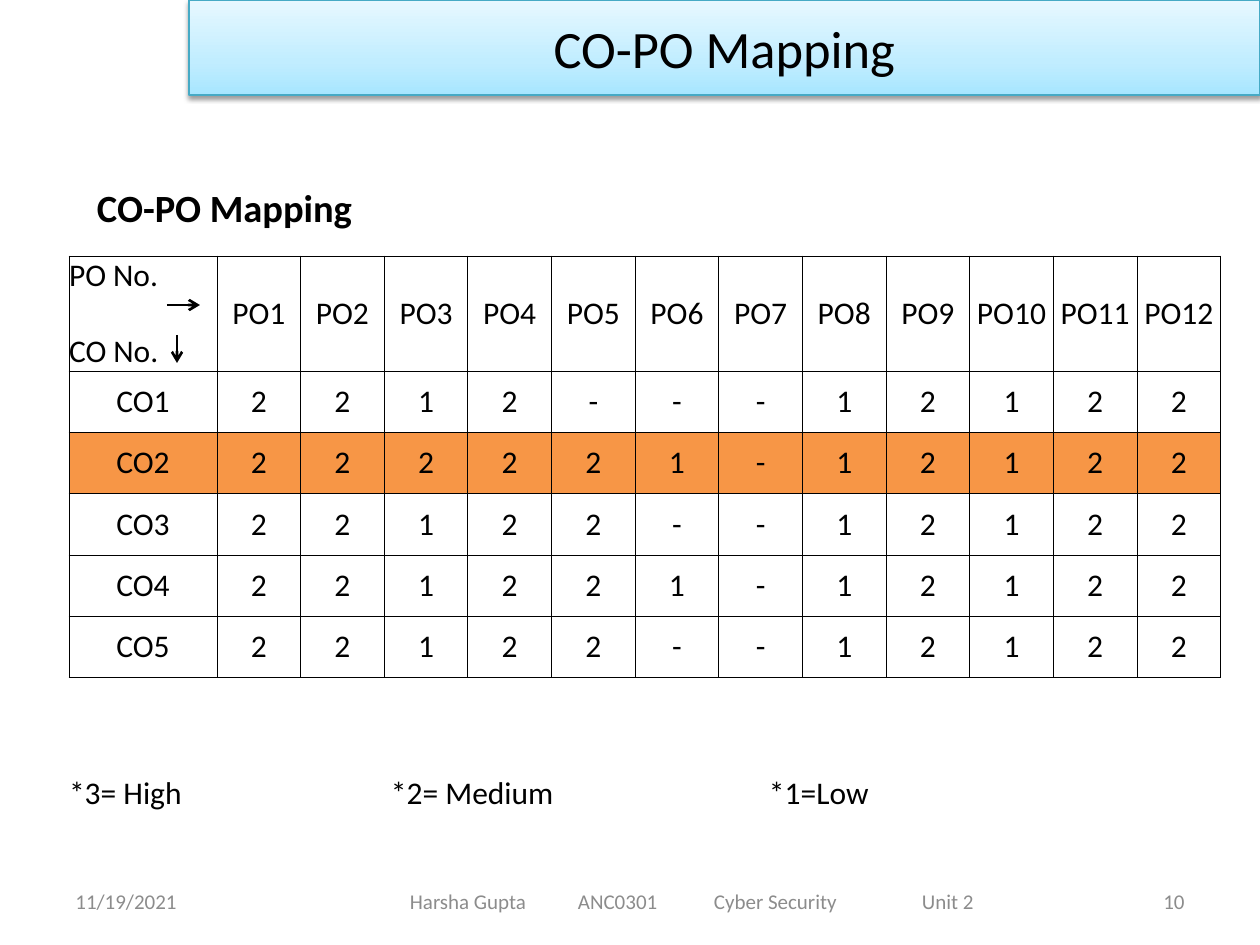
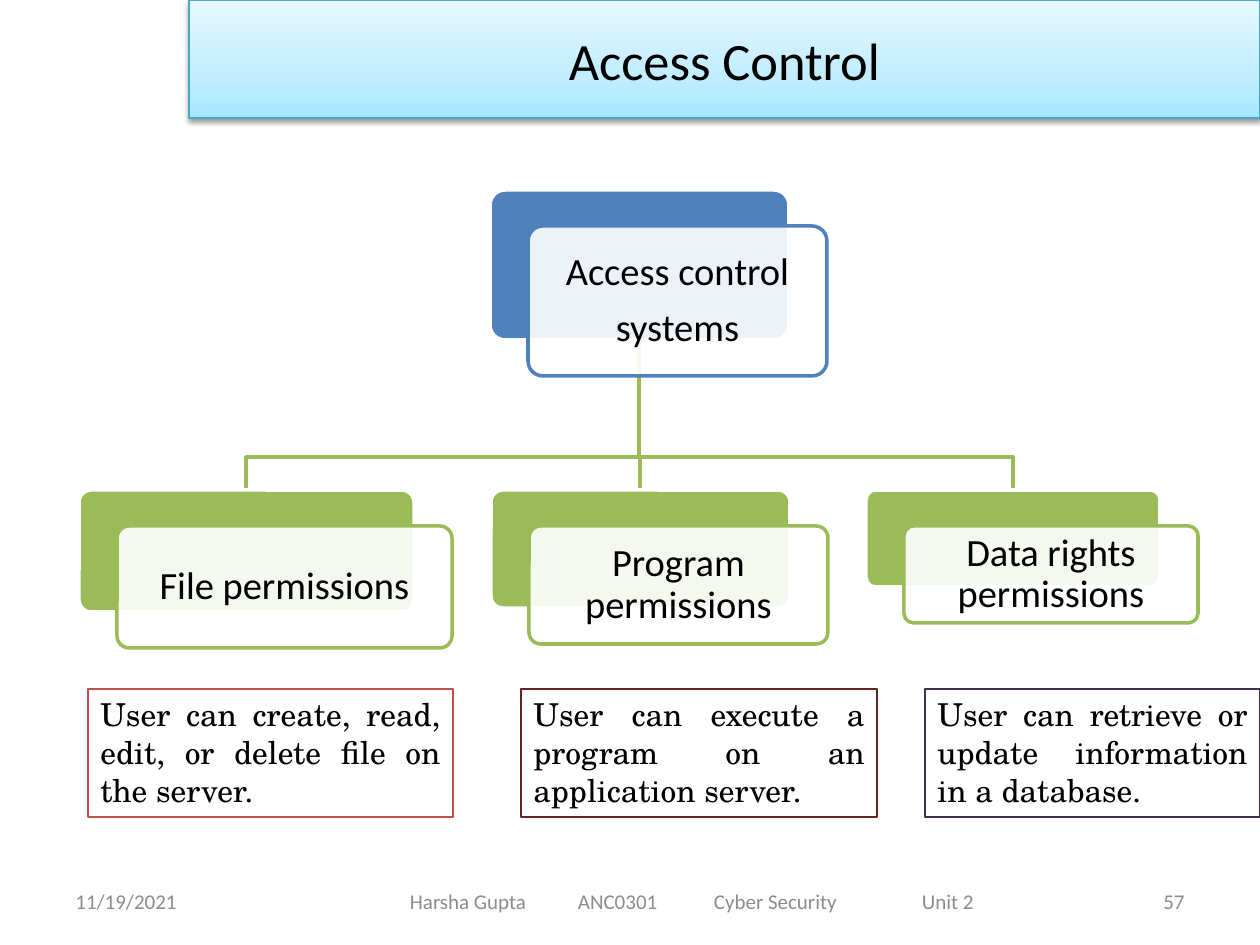
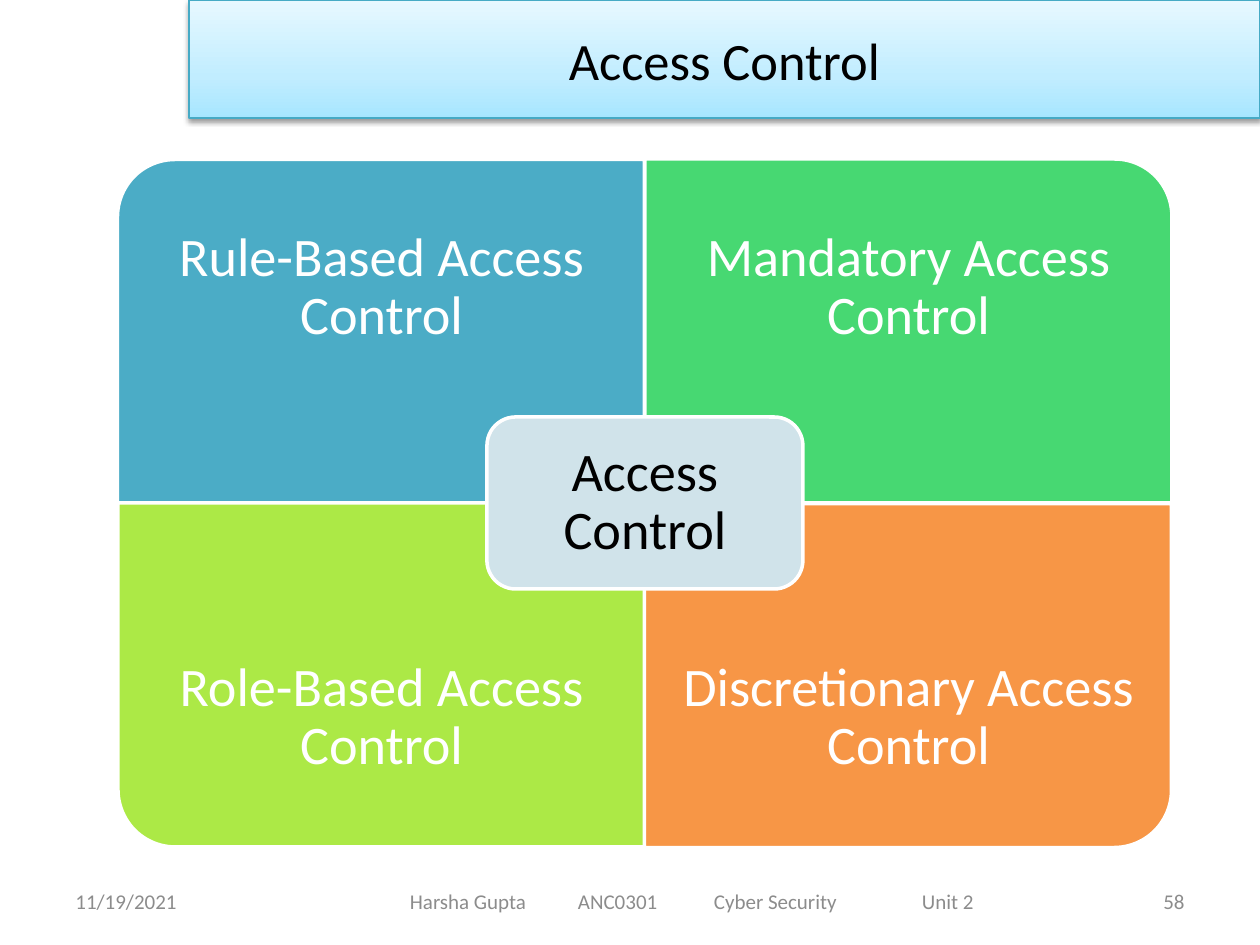
from lxml.etree import SubElement
from pptx import Presentation
from pptx.dml.color import RGBColor
from pptx.enum.shapes import MSO_CONNECTOR, MSO_SHAPE as SHAPE
from pptx.enum.text import MSO_ANCHOR as ANCHOR, PP_ALIGN as ALIGN
from pptx.oxml.ns import qn
from pptx.util import Emu, Pt

SCALE = 914400 / 126
SANS = "Calibri"
SERIF = "TeX Gyre Schola"
BLACK = RGBColor(0x00, 0x00, 0x00)
WHITE = RGBColor(0xFF, 0xFF, 0xFF)
GREY = RGBColor(0x8C, 0x8C, 0x8C)
BLUE = RGBColor(0x4F, 0x81, 0xBD)
OLIVE = RGBColor(0x9B, 0xBB, 0x59)
ORANGE = RGBColor(0xF7, 0x96, 0x46)
TEAL = RGBColor(0x4B, 0xAC, 0xC6)
GREEN = RGBColor(0x47, 0xD8, 0x72)
LIME = RGBColor(0xAC, 0xE9, 0x46)
PALE_BLUE = RGBColor(0xD0, 0xE3, 0xEA)
RED = RGBColor(0xC0, 0x50, 0x4D)
MAROON = RGBColor(0x63, 0x25, 0x23)
PURPLE = RGBColor(0x40, 0x31, 0x52)
BAND_LINE = RGBColor(0x46, 0xAA, 0xC5)
BAND_STOPS = (
    (0, RGBColor(0xA7, 0xE6, 0xFF)),
    (35, RGBColor(0xC1, 0xED, 0xFF)),
    (100, RGBColor(0xE7, 0xF8, 0xFF)),
)
DATE = "11/19/2021"
FOOTER = "Harsha Gupta\tANC0301\tCyber Security\tUnit 2"
MAPPING = {
    "CO1": "2212---12122",
    "CO2": "222221-12122",
    "CO3": "22122--12122",
    "CO4": "221221-12122",
    "CO5": "22122--12122",
}


def px(length):
    """Turn pixels into EMU."""
    return Emu(round(length * SCALE))


def write(frame, text, size, color=BLACK, align=ALIGN.LEFT, font=SANS, bold=False):
    """Fill a text frame and format all its runs alike."""
    frame.text = text
    for para in frame.paragraphs:
        para.alignment = align
        for span in para.runs:
            span.font.name = font
            span.font.size = Pt(size)
            span.font.bold = bold
            span.font.color.rgb = color


def set_frame(frame, anchor=ANCHOR.MIDDLE, inset=None, left=None):
    """Set wrapping, anchoring and insets of a text frame."""
    frame.word_wrap = True
    frame.vertical_anchor = anchor
    if inset is not None:
        frame.margin_left = frame.margin_right = px(inset)
        frame.margin_top = frame.margin_bottom = px(inset)
    if left is not None:
        frame.margin_left = px(left)


def tighten(frame):
    """Apply the diagram paragraph spacing."""
    for para in frame.paragraphs:
        para.line_spacing = 0.9
        para.space_after = Pt(8)


def add_text(slide, area, text, size, color=BLACK, align=ALIGN.LEFT, bold=False, **frame_options):
    """Add a text box and return its frame."""
    frame = slide.shapes.add_textbox(*map(px, area)).text_frame
    set_frame(frame, **frame_options)
    write(frame, text, size, color, align, bold=bold)
    return frame


def add_tabs(frame, stops):
    """Add left tab stops to the first paragraph."""
    tabs = SubElement(frame.paragraphs[0]._p.get_or_add_pPr(), qn("a:tabLst"))
    for stop in stops:
        SubElement(tabs, qn("a:tab"), pos=str(px(stop)), algn="l")


def add_box(slide, kind, area, fill=None, line=WHITE, width=2.0):
    """Add a flat preset shape."""
    box = slide.shapes.add_shape(kind, *map(px, area))
    box.shadow.inherit = False
    if fill is None:
        box.fill.background()
    else:
        box.fill.solid()
        box.fill.fore_color.rgb = fill
    box.line.color.rgb = line
    box.line.width = Pt(width)
    return box


def add_title_band(slide, title, height):
    """Add the gradient title band with its soft shadow."""
    band = add_box(slide, SHAPE.RECTANGLE, (189, 0, 1071, height), line=BAND_LINE, width=0.75)
    band.fill.gradient()
    band.fill.gradient_angle = 90
    properties = band.element.spPr
    stops = properties.find(".//" + qn("a:gsLst"))
    stops.clear()
    for position, color in BAND_STOPS:
        stop = SubElement(stops, qn("a:gs"), pos=str(position * 1000))
        SubElement(stop, qn("a:srgbClr"), val=str(color))
    shadow = SubElement(
        properties.find(qn("a:effectLst")), qn("a:outerShdw"),
        blurRad=str(Pt(3.1)), dist=str(Pt(1.6)), dir="5400000", rotWithShape="0",
    )
    shade = SubElement(shadow, qn("a:srgbClr"), val=str(BLACK))
    SubElement(shade, qn("a:alpha"), val="38000")
    set_frame(band.text_frame)
    write(band.text_frame, title, 30, align=ALIGN.CENTER)


def add_page(deck, title, number, band_height=118):
    """Add a slide with the title band and footers."""
    slide = deck.slides.add_slide(deck.slide_layouts[6])
    add_title_band(slide, title, band_height)
    add_text(slide, (63, 876, 294, 50), DATE, 12, GREY)
    footer = add_text(slide, (346, 876, 693, 50), FOOTER, 12, GREY, left=64)
    add_tabs(footer, (168, 304, 512))
    add_text(slide, (903, 876, 294, 50), str(number), 12, GREY, ALIGN.RIGHT)
    return slide


def add_arrow(slide, start, end):
    """Add a thin black arrow."""
    arrow = slide.shapes.add_connector(MSO_CONNECTOR.STRAIGHT, *map(px, start + end))
    arrow.line.color.rgb = BLACK
    arrow.line.width = Pt(1.5)
    properties = arrow.element.spPr
    SubElement(properties.find(qn("a:ln")), qn("a:tailEnd"), type="arrow")
    SubElement(properties, qn("a:effectLst"))


def border_cell(cell):
    """Draw thin black borders around a cell."""
    properties = cell._tc.get_or_add_tcPr()
    for index, side in enumerate(("lnL", "lnR", "lnT", "lnB")):
        line = SubElement(properties, qn("a:" + side), w=str(Pt(0.5)))
        fill = SubElement(line, qn("a:solidFill"))
        SubElement(fill, qn("a:srgbClr"), val=str(BLACK))
        properties.insert(index, line)


def fill_cell(cell, text, fill, align=ALIGN.CENTER):
    """Write and style one table cell."""
    cell.margin_left = cell.margin_right = cell.margin_top = cell.margin_bottom = 0
    cell.vertical_anchor = ANCHOR.MIDDLE
    cell.fill.solid()
    cell.fill.fore_color.rgb = fill
    border_cell(cell)
    write(cell.text_frame, text, 18, align=align)


def add_mapping_table(slide):
    """Add the table of course outcomes against programme outcomes."""
    rows = [["PO No.\nCO No."] + [f"PO{number}" for number in range(1, 13)]]
    rows += [[outcome, *levels] for outcome, levels in MAPPING.items()]
    area = map(px, (69, 256, 1152, 421))
    table = slide.shapes.add_table(len(rows), len(rows[0]), *area).table
    table.first_row = table.horz_banding = False
    for index, column in enumerate(table.columns):
        column.width = Emu(px(1004) // 12) if index else px(148)
    for index, row in enumerate(table.rows):
        row.height = Emu(px(307) // 5) if index else px(115)
    for row, texts in zip(table.rows, rows):
        fill = ORANGE if texts[0] == "CO2" else WHITE
        for cell, text in zip(row.cells, texts):
            fill_cell(cell, text, fill)
    corner = table.cell(0, 0).text_frame
    for para in corner.paragraphs:
        para.alignment = ALIGN.LEFT
    corner.paragraphs[1].space_before = Pt(22)


def add_elbow(slide, start, end, bend):
    """Add a tree branch that turns at the height of the bend."""
    (left, top), (right, bottom) = start, end
    builder = slide.shapes.build_freeform(left, top, SCALE)
    builder.add_line_segments([(left, bend), (right, bend), (right, bottom)], close=False)
    branch = builder.convert_to_shape()
    branch.shadow.inherit = False
    branch.fill.background()
    branch.line.color.rgb = OLIVE
    branch.line.width = Pt(2)


def add_card(slide, area, text, color):
    """Add a coloured card with a translucent labelled card over it."""
    left, top, width, height = area
    back = add_box(slide, SHAPE.ROUNDED_RECTANGLE, area, color)
    front_area = (left + 38, top + 36, width, height)
    front = add_box(slide, SHAPE.ROUNDED_RECTANGLE, front_area, WHITE, color)
    for card in (back, front):
        card.adjustments[0] = 0.1
    tint = front.element.spPr.find(qn("a:solidFill")).find(qn("a:srgbClr"))
    SubElement(tint, qn("a:alpha"), val="90000")
    set_frame(front.text_frame, inset=15)
    write(front.text_frame, text, 22, align=ALIGN.CENTER)
    tighten(front.text_frame)


def add_note(slide, left, width, text, color):
    """Add an outlined, justified note."""
    note = add_box(slide, SHAPE.RECTANGLE, (left, 689, width, 128), line=color, width=0.75)
    set_frame(note.text_frame, ANCHOR.TOP)
    write(note.text_frame, text, 18, align=ALIGN.JUSTIFY, font=SERIF)


def add_quadrant(slide, column, row, rotation, text, color):
    """Add one quarter of the matrix with its label."""
    width, height = 527, 344
    left, top = 118 + column * width, 159 + row * height
    area = (left, top, width, height)
    if rotation % 180:
        shift = (width - height) // 2
        area = (left + shift, top - shift, height, width)
    quarter = add_box(slide, SHAPE.ROUND_1_RECTANGLE, area, color)
    quarter.rotation = rotation
    label_height = height * 3 // 4
    label_top = top + row * (height - label_height)
    label = add_text(
        slide, (left, label_top, width, label_height), text, 31, WHITE, ALIGN.CENTER, inset=30
    )
    tighten(label)


def build_mapping(deck):
    """Build the outcome mapping slide."""
    slide = add_page(deck, "CO-PO Mapping", 10, 95)
    legend = add_text(slide, (0, 767, 1231, 50), "*3= High\t*2= Medium\t*1=Low", 18, left=69)
    add_tabs(legend, (322, 700))
    add_mapping_table(slide)
    add_arrow(slide, (167, 305), (200, 305))
    add_arrow(slide, (177, 335), (177, 363))
    add_text(
        slide, (59, 178, 522, 60), "CO-PO Mapping", 22, bold=True, anchor=ANCHOR.TOP, left=38
    )


def build_permissions(deck):
    """Build the access control tree slide."""
    slide = add_page(deck, "Access Control", 57)
    for child in (1013, 640, 246):
        add_elbow(slide, (639, 340), (child, 490), 457)
    add_card(slide, (490, 190, 299, 150), "Access control\nsystems", BLUE)
    add_card(slide, (79, 490, 335, 122), "File permissions", OLIVE)
    add_card(slide, (491, 490, 299, 118), "Program permissions", OLIVE)
    add_card(slide, (866, 490, 294, 97), "Data rights permissions", OLIVE)
    add_note(slide, 88, 365, "User can create, read, edit, or delete file on the server.", RED)
    add_note(slide, 521, 356, "User can execute a program on an application server.", MAROON)
    add_note(slide, 925, 335, "User can retrieve or update information in a database.", PURPLE)


def build_models(deck):
    """Build the access control matrix slide."""
    slide = add_page(deck, "Access Control", 58)
    add_quadrant(slide, 0, 0, 270, "Rule-Based Access Control", TEAL)
    add_quadrant(slide, 1, 0, 0, "Mandatory Access Control", GREEN)
    add_quadrant(slide, 0, 1, 180, "Role-Based Access Control", LIME)
    add_quadrant(slide, 1, 1, 90, "Discretionary Access Control", ORANGE)
    center = add_box(slide, SHAPE.ROUNDED_RECTANGLE, (487, 417, 316, 172), PALE_BLUE)
    set_frame(center.text_frame, inset=24)
    write(center.text_frame, "Access Control", 31, align=ALIGN.CENTER)
    tighten(center.text_frame)


def main():
    """Build and save the deck."""
    deck = Presentation()
    deck.slide_width, deck.slide_height = px(1260), px(945)
    build_mapping(deck)
    build_permissions(deck)
    build_models(deck)
    deck.save("out.pptx")


if __name__ == "__main__":
    main()
